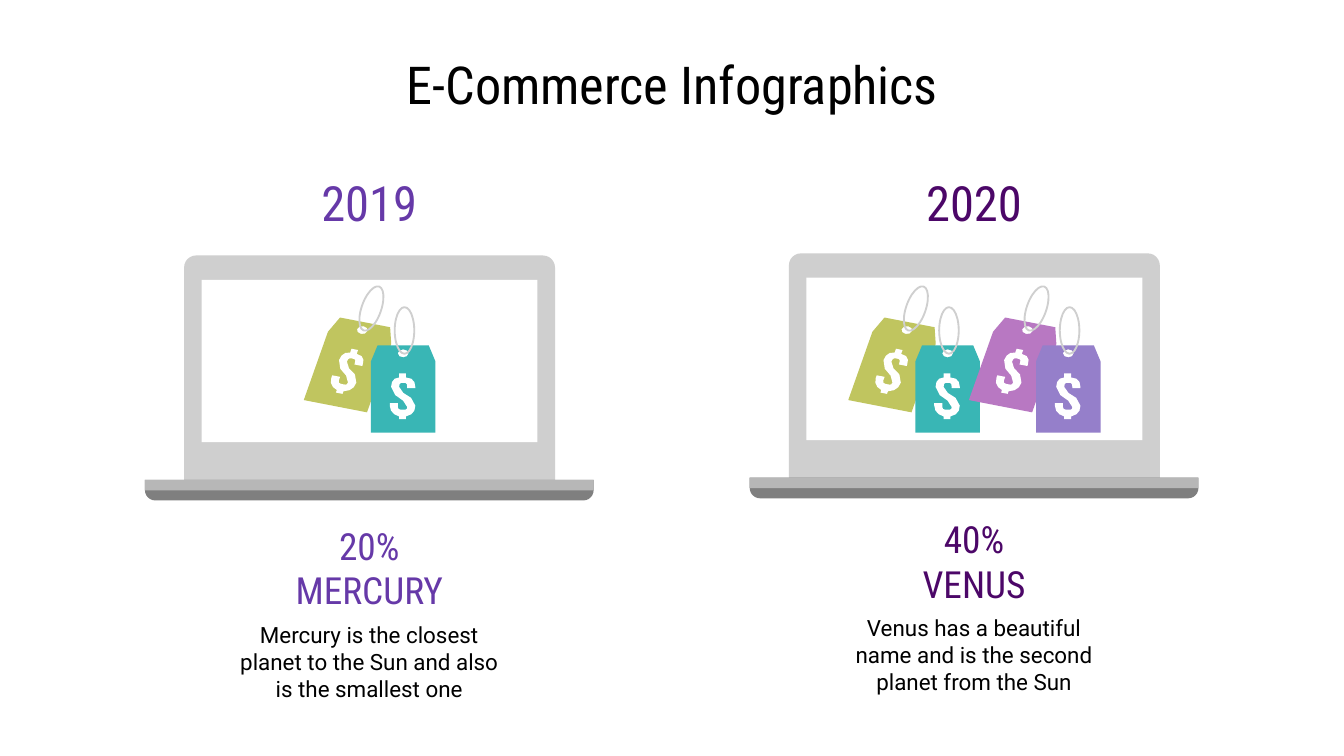
from math import atan2, cos, degrees, radians, sin

from pptx import Presentation
from pptx.dml.color import RGBColor
from pptx.enum.shapes import MSO_SHAPE
from pptx.enum.text import MSO_ANCHOR, PP_ALIGN
from pptx.util import Cm, Pt

RECTANGLE = MSO_SHAPE.RECTANGLE
ROUNDED = MSO_SHAPE.ROUNDED_RECTANGLE
ROUND_PAIR = MSO_SHAPE.ROUND_2_SAME_RECTANGLE
OVAL = MSO_SHAPE.OVAL
MIDDLE = MSO_ANCHOR.MIDDLE
CENTER = PP_ALIGN.CENTER

HEADING_FONT = "Roboto Condensed"
BODY_FONT = "Roboto"
BLACK, WHITE, SILVER = "000000", "FFFFFF", "CFCFCF"
BASE_SHADE, BASE_TOP = "7F7F7F", "B7B7B7"
OLIVE, TEAL, PINK, LILAC = "C0C55F", "39B6B5", "B878C2", "957FCA"

TAG_UNIT = 0.0254
TAG_TOP = 5.79
UPRIGHT = (1, 0, 0, 1, 0, 0)
TILTED = (0.98, -0.34, 0.19, 0.96, -18, -20.4)
TAG_BODY = [(5, 29), (0, 41), (0, 94), (48, 94), (48, 41), (43, 29)]
TAG_HOLE = [(24 + 4 * cos(radians(a)), 35 + 3 * sin(radians(a)))
            for a in range(0, 360, 45)]
LOOP_CENTER = (25, 18)
LOOP_WIDTH, LOOP_HEIGHT = 0.37, 0.88
DOLLAR = [
    (21, 50), (21, 53), (17, 53, 15, 56, 15, 60), (15, 68, 27, 69, 27, 75),
    (27, 77, 26, 77, 24, 77), (22, 77, 20, 77, 20, 75), (20, 72), (14, 72),
    (14, 74), (14, 78, 17, 81, 21, 82), (21, 84), (26, 84), (26, 82),
    (31, 81, 33, 78, 33, 74), (33, 66, 21, 66, 21, 60),
    (21, 57, 22, 57, 24, 57), (26, 57, 27, 57, 27, 60), (27, 61), (33, 61),
    (33, 60), (33, 56, 31, 53, 26, 53), (26, 50),
]

COLUMNS = [
    {"left": 2.74, "laptop_top": 4.83, "caption_top": 10.21, "year": "2019",
     "percent": "20%", "planet": "MERCURY", "color": "6639A8",
     "note": "Mercury is the closest planet to the Sun and also is the smallest one",
     "pairs": [(7.01, OLIVE, TEAL)]},
    {"left": 14.17, "laptop_top": 4.79, "caption_top": 10.08, "year": "2020",
     "percent": "40%", "planet": "VENUS", "color": "4C0768",
     "note": "Venus has a beautiful name and is the second planet from the Sun",
     "pairs": [(17.3, OLIVE, TEAL), (19.58, PINK, LILAC)]},
]


def rgb(color):
    return RGBColor.from_string(color)


def paint(shape, color):
    shape.shadow.inherit = False
    shape.fill.solid()
    shape.fill.fore_color.rgb = rgb(color)
    shape.line.fill.background()


def add_panel(page, kind, box, color, corners=()):
    panel = page.shapes.add_shape(kind, *map(Cm, box))
    for index, corner in enumerate(corners):
        panel.adjustments[index] = corner
    paint(panel, color)


def add_text(page, box, lines, size, font, color):
    frame = page.shapes.add_textbox(*map(Cm, box)).text_frame
    layout = {"word_wrap": True, "vertical_anchor": MIDDLE}
    for side in ("left", "right", "top", "bottom"):
        layout[f"margin_{side}"] = Cm(0.25)
    for name, value in layout.items():
        setattr(frame, name, value)
    for index, line in enumerate(lines):
        para = frame.add_paragraph() if index else frame.paragraphs[0]
        para.alignment = CENTER
        span = para.add_run()
        span.text = line
        for name, value in {"size": Pt(size), "name": font}.items():
            setattr(span.font, name, value)
        span.font.color.rgb = rgb(color)


def flatten(segments, steps=3):
    points = []
    for segment in segments:
        if len(segment) == 2:
            points.append(segment)
            continue
        start, end = points[-1], segment[4:]
        for i in range(1, steps + 1):
            t = i / steps
            points.append(tuple(
                (1 - t) ** 3 * start[k] + 3 * (1 - t) ** 2 * t * segment[k]
                + 3 * (1 - t) * t ** 2 * segment[k + 2] + t ** 3 * end[k]
                for k in (0, 1)))
    return points


def locate(left, top, matrix, point):
    a, b, c, d, shift_x, shift_y = matrix
    x, y = point
    return (Cm(left + TAG_UNIT * (a * x + b * y + shift_x)),
            Cm(top + TAG_UNIT * (c * x + d * y + shift_y)))


def add_outline(page, left, top, matrix, contours, color):
    first, *others = [[locate(left, top, matrix, point) for point in contour]
                      for contour in contours]
    builder = page.shapes.build_freeform(*first[0])
    builder.add_line_segments(first[1:], close=True)
    for contour in others:
        builder.move_to(*contour[0])
        builder.add_line_segments(contour[1:], close=True)
    paint(builder.convert_to_shape(), color)


def add_loop(page, left, top, matrix):
    center_x, center_y = locate(left, top, matrix, LOOP_CENTER)
    width, height = Cm(LOOP_WIDTH), Cm(LOOP_HEIGHT)
    loop = page.shapes.add_shape(OVAL, center_x - width // 2,
                                 center_y - height // 2, width, height)
    loop.rotation = degrees(atan2(-matrix[1], matrix[3]))
    loop.shadow.inherit = False
    loop.fill.background()
    loop.line.color.rgb = rgb(SILVER)
    loop.line.width = Pt(1)


def add_tag(page, left, top, matrix, color):
    add_outline(page, left, top, matrix, [TAG_BODY, TAG_HOLE], color)
    add_loop(page, left, top, matrix)
    add_outline(page, left, top, matrix, [flatten(DOLLAR)], WHITE)


def add_laptop(page, left, top):
    add_panel(page, ROUNDED, (left + 0.74, top, 7.01, 4.55), SILVER, (0.05,))
    add_panel(page, ROUND_PAIR, (left, top + 4.24, 8.48, 0.39), BASE_SHADE, (0, 0.5))
    add_panel(page, RECTANGLE, (left, top + 4.24, 8.48, 0.2), BASE_TOP)
    add_panel(page, RECTANGLE, (left + 1.07, top + 0.46, 6.35, 3.07), WHITE)


def add_column(page, column):
    left, color, caption_top = column["left"], column["color"], column["caption_top"]
    add_laptop(page, left, column["laptop_top"])
    for tag_left, back_color, front_color in column["pairs"]:
        add_tag(page, tag_left, TAG_TOP, TILTED, back_color)
        add_tag(page, tag_left, TAG_TOP, UPRIGHT, front_color)
    add_text(page, (left + 1.5, caption_top + 0.92, 5.48, 2.75),
             [column["note"]], 12, BODY_FONT, BLACK)
    add_text(page, (left + 1.94, caption_top, 4.6, 1.04),
             [column["percent"], column["planet"]], 20, HEADING_FONT, color)
    add_text(page, (left + 1.94, 3.3, 4.6, 1.04),
             [column["year"]], 26, HEADING_FONT, color)


def main():
    deck = Presentation()
    deck.slide_width, deck.slide_height = Cm(25.4), Cm(14.29)
    page = deck.slides.add_slide(deck.slide_layouts[6])
    add_text(page, (6.99, 1.14, 11.43, 0.89), ["E-Commerce Infographics"],
             28, HEADING_FONT, BLACK)
    for column in COLUMNS:
        add_column(page, column)
    deck.save("out.pptx")


if __name__ == "__main__":
    main()
